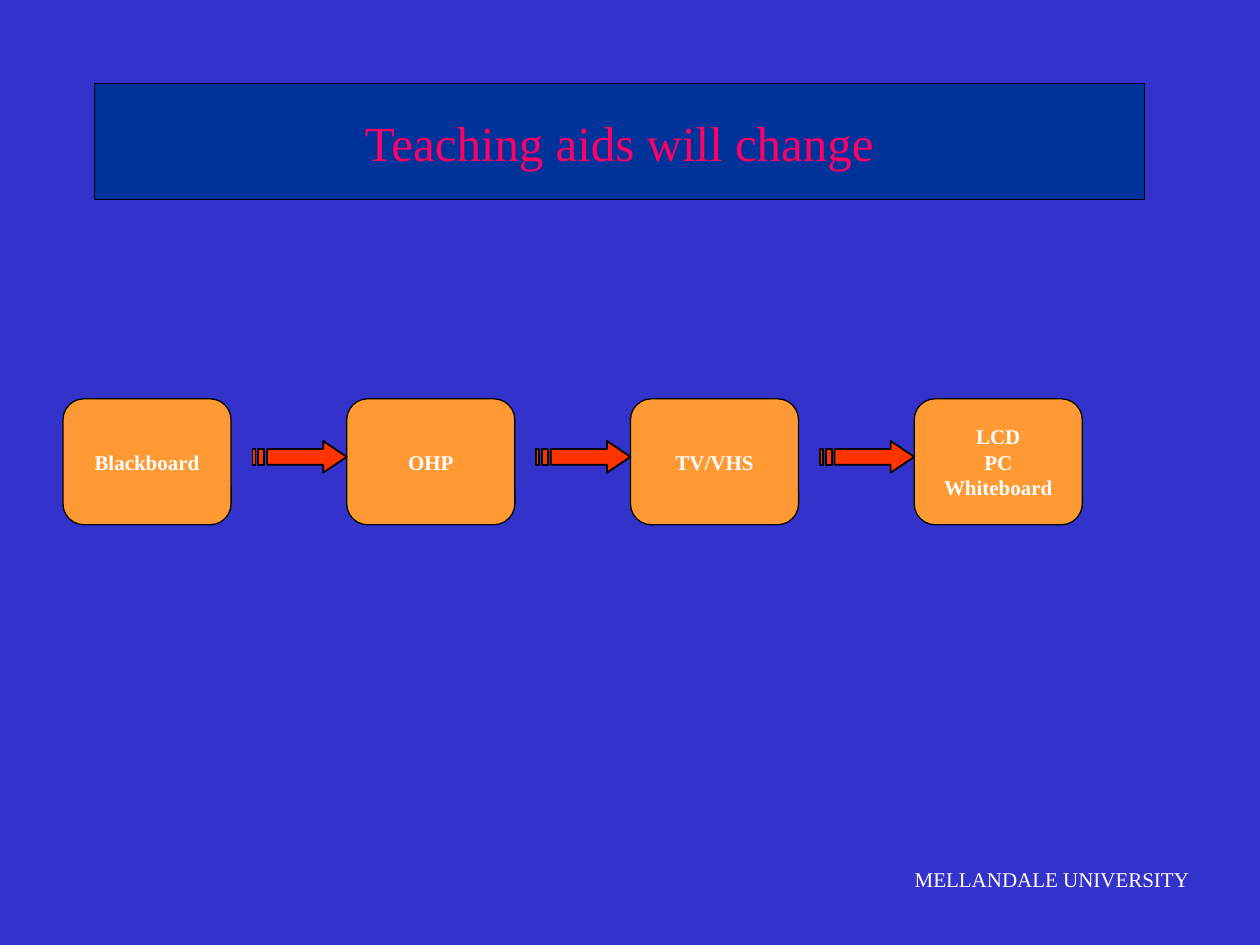
import dataclasses
import pptx
import pptx.util
import pptx.dml.color
import pptx.enum.shapes
import pptx.enum.text

Cm = pptx.util.Cm
Pt = pptx.util.Pt
Align = pptx.enum.text.PP_ALIGN


@dataclasses.dataclass(frozen=True)
class Theme:
    font: str = "Times New Roman"
    back: str = "3333CC"
    band: str = "003399"
    head: str = "FF0066"
    box: str = "FF9933"
    arrow: str = "FF3300"
    line: str = "000000"
    text: str = "FFFFFF"
    big: int = 28
    small: int = 12


# Arrow outline: x in 32nds of the width, y in quarters of the height
BODY = [(24, 0), (24, 1), (5, 1), (5, 3), (24, 3), (24, 4), (32, 2)]
WIDE = [(2, 1), (2, 3), (4, 3), (4, 1)]
THIN = [(0, 1), (0, 3), (1, 3), (1, 1)]


class Deck:
    def __init__(self, theme):
        self.theme = theme
        self.file = pptx.Presentation()
        self.file.slide_width = Cm(25.4)
        self.file.slide_height = Cm(19.05)
        self.slide = self.file.slides.add_slide(self.file.slide_layouts[5])
        fill = self.slide.background.fill
        fill.solid()
        fill.fore_color.rgb = self.tint(theme.back)

    def tint(self, code):
        return pptx.dml.color.RGBColor.from_string(code)

    def paint(self, shape, color, width=0.75):
        shape.fill.solid()
        shape.fill.fore_color.rgb = self.tint(color)
        shape.line.color.rgb = self.tint(self.theme.line)
        shape.line.width = Pt(width)

    def letter(self, shape, lines, size, color, align=Align.CENTER,
               bold=False, wrap=False):
        frame = shape.text_frame
        frame.word_wrap = wrap
        frame.auto_size = pptx.enum.text.MSO_AUTO_SIZE.NONE
        frame.vertical_anchor = pptx.enum.text.MSO_ANCHOR.MIDDLE
        for i, line in enumerate(lines):
            para = frame.add_paragraph() if i else frame.paragraphs[0]
            para.alignment = align
            run = para.add_run()
            run.text = line
            run.font.name = self.theme.font
            run.font.size = Pt(size)
            run.font.bold = bold
            run.font.color.rgb = self.tint(color)

    def title(self, text, left, top, width, height):
        shape = self.slide.shapes.title
        shape.left, shape.top = Cm(left), Cm(top)
        shape.width, shape.height = Cm(width), Cm(height)
        self.paint(shape, self.theme.band)
        self.letter(shape, [text], self.theme.big, self.theme.head, wrap=True)

    def label(self, text, left, top, width, height):
        shape = self.slide.shapes.add_textbox(
            Cm(left), Cm(top), Cm(width), Cm(height))
        self.letter(shape, [text], self.theme.small, self.theme.text,
                    Align.LEFT)

    def box(self, lines, left, top, width, height):
        shape = self.slide.shapes.add_shape(
            pptx.enum.shapes.MSO_SHAPE.ROUNDED_RECTANGLE,
            Cm(left), Cm(top), Cm(width), Cm(height))
        shape.shadow.inherit = False
        self.paint(shape, self.theme.box)
        self.letter(shape, lines, self.theme.small, self.theme.text, bold=True)

    def arrow(self, left, top, width, height):
        scale = (Cm(width) / 32, Cm(height) / 4)
        pen = self.slide.shapes.build_freeform(*BODY[0], scale=scale)
        pen.add_line_segments(BODY[1:], close=True)
        for bar in (WIDE, THIN):
            pen.move_to(*bar[0])
            pen.add_line_segments(bar[1:], close=True)
        shape = pen.convert_to_shape(Cm(left), Cm(top))
        shape.shadow.inherit = False
        self.paint(shape, self.theme.arrow, 1)


def main():
    deck = Deck(Theme())

    # Footer and title
    deck.label("MELLANDALE UNIVERSITY", 18.19, 17.35, 5.89, 0.76)
    deck.title("Teaching aids will change", 1.9, 1.69, 21.17, 2.33)

    # Row of teaching aids
    steps = [["Blackboard"], ["OHP"], ["TV/VHS"],
             ["LCD", "PC", "Whiteboard"]]
    first, pitch = 1.27, 5.72
    spots = [first + pitch * i for i in range(len(steps))]
    for left, lines in zip(spots, steps):
        deck.box(lines, left, 8.04, 3.39, 2.54)

    # Each arrow ends at the next box
    span = 1.9
    for left in spots[1:]:
        deck.arrow(left - span, 8.89, span, 0.64)

    deck.file.save("out.pptx")


if __name__ == "__main__":
    main()
